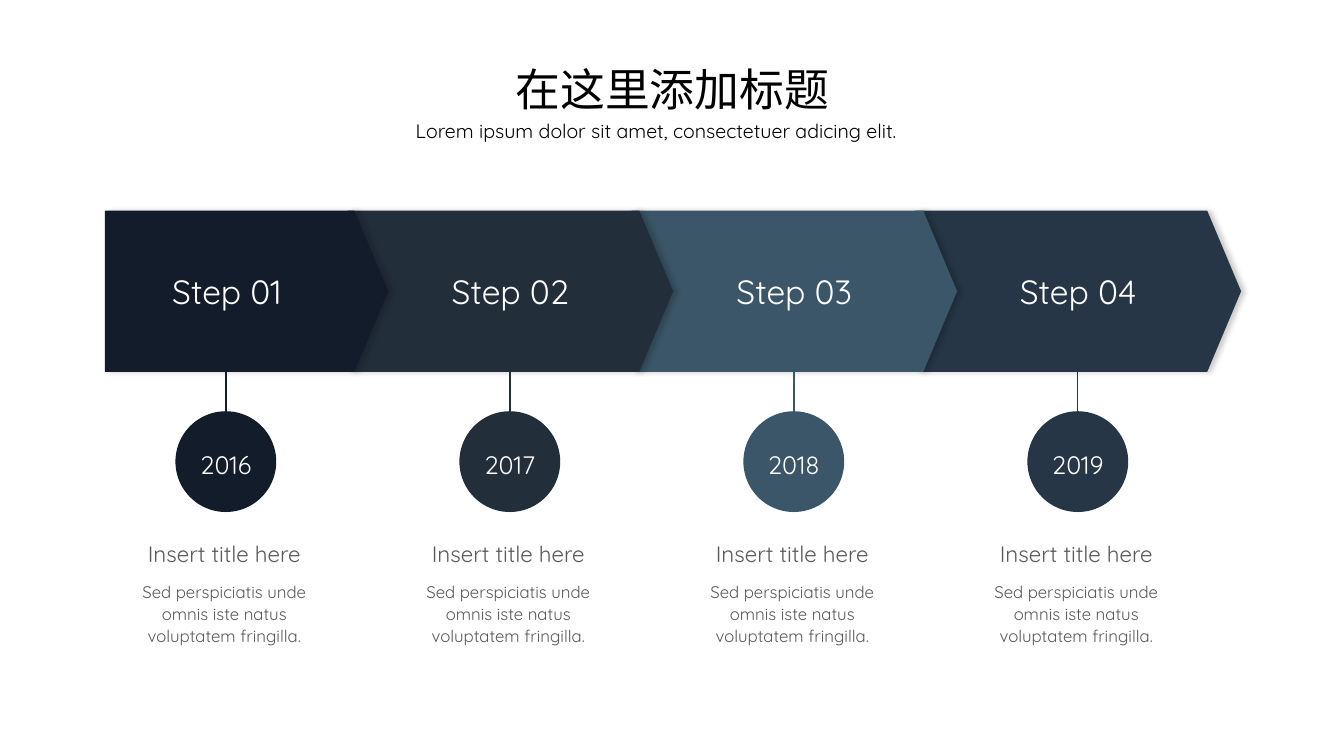
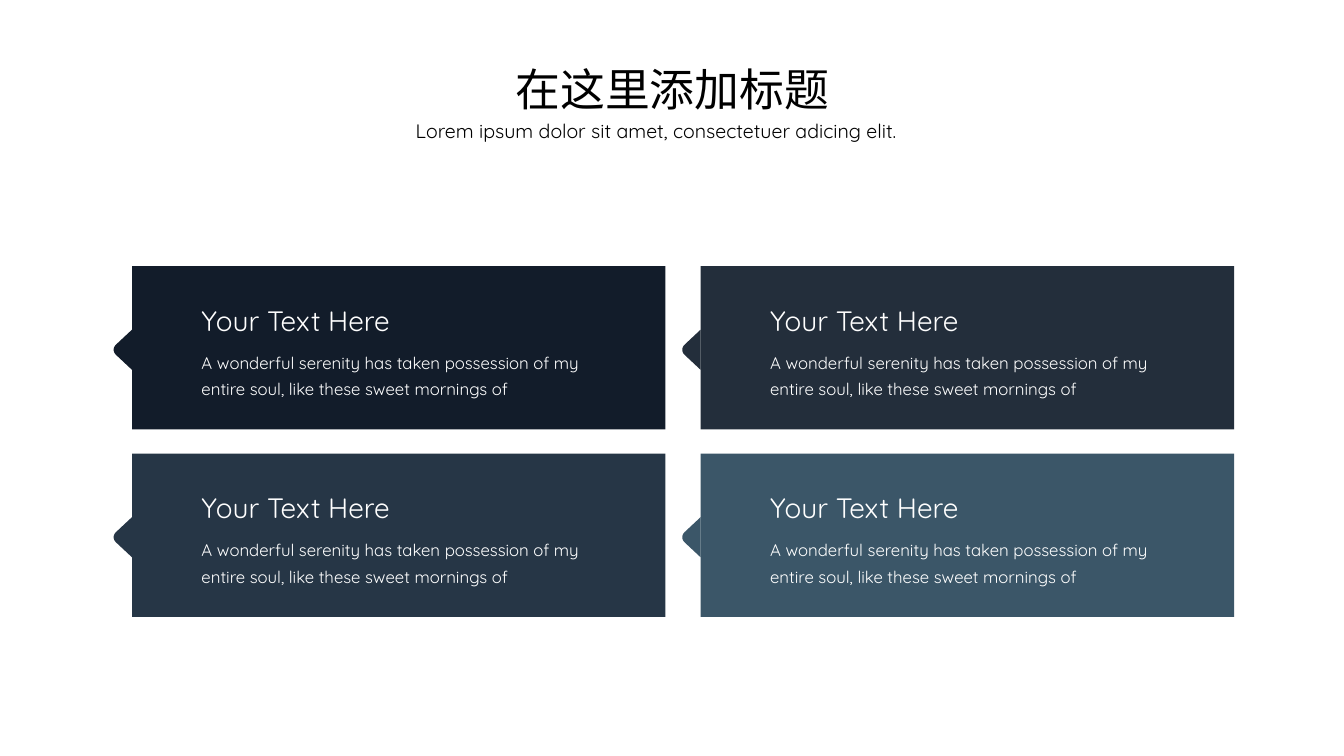
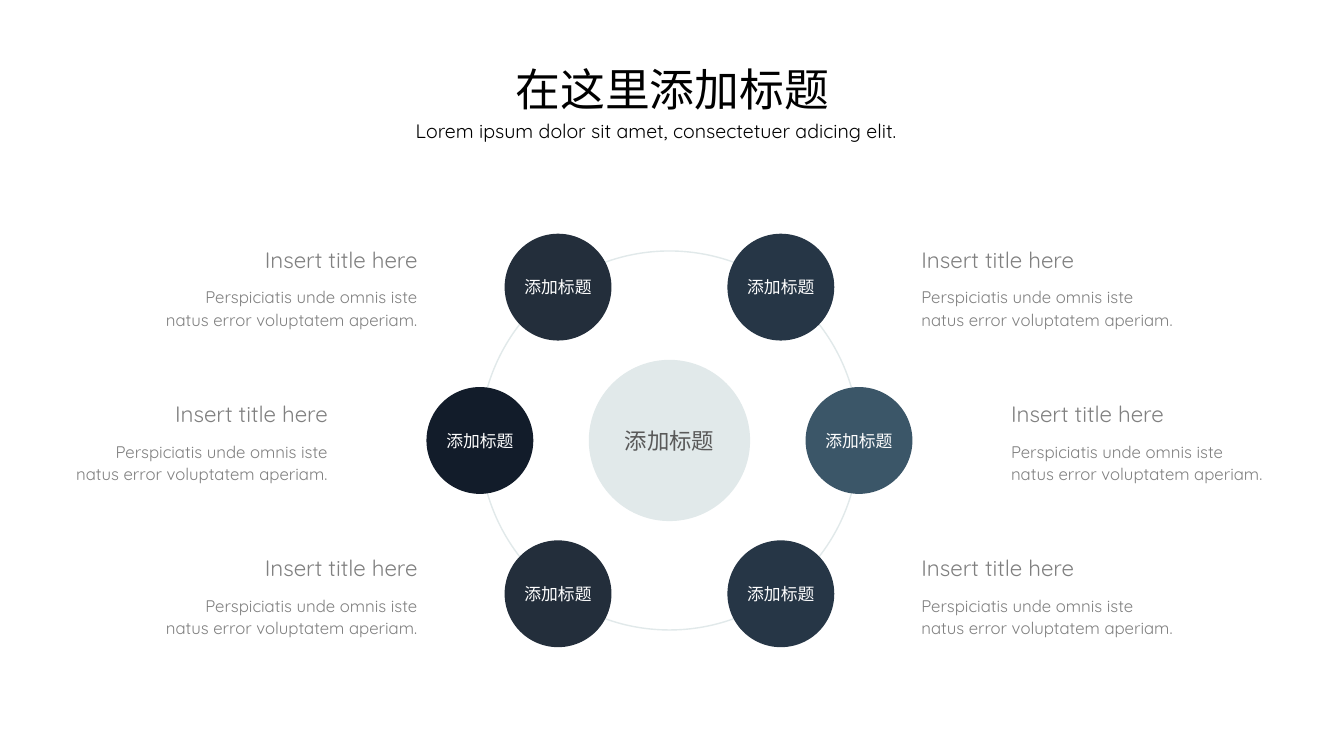
"""Build three slides: a step timeline, a grid of cards and a ring of topics."""
from math import cos, radians, sin

from lxml import etree
from pptx import Presentation
from pptx.dml.color import RGBColor
from pptx.enum.shapes import MSO_CONNECTOR, MSO_SHAPE
from pptx.enum.text import MSO_ANCHOR, MSO_AUTO_SIZE, PP_ALIGN
from pptx.oxml.ns import qn
from pptx.util import Inches, Pt

LEFT, MID, RIGHT = PP_ALIGN.LEFT, PP_ALIGN.CENTER, PP_ALIGN.RIGHT
TOP, CENTRE = MSO_ANCHOR.TOP, MSO_ANCHOR.MIDDLE
FIXED = MSO_AUTO_SIZE.NONE
OVAL, RECT = MSO_SHAPE.OVAL, MSO_SHAPE.RECTANGLE
ARROW, PLATE = MSO_SHAPE.CHEVRON, MSO_SHAPE.PENTAGON
STRAIGHT = MSO_CONNECTOR.STRAIGHT

NAVY = RGBColor(0x12, 0x1C, 0x2A)
SLATE = RGBColor(0x23, 0x2E, 0x3B)
BLUE = RGBColor(0x26, 0x36, 0x46)
TEAL = RGBColor(0x3B, 0x56, 0x68)
PALE = RGBColor(0xE1, 0xE9, 0xEA)
DARK = RGBColor(0x59, 0x59, 0x59)
GREY = RGBColor(0x80, 0x80, 0x80)
BLACK = RGBColor(0, 0, 0)
WHITE = RGBColor(255, 255, 255)

SANS, HAN = "Quicksand", "Noto Sans CJK SC"
WIDE, HIGH = 13.33, 7.5

TITLE = "在这里添加标题"
LEAD = "Lorem ipsum dolor sit amet, consectetuer adicing elit."
HEAD = "Insert title here"
TOPIC = "添加标题"

STEPS = [
    ("Step 01", "2016", NAVY),
    ("Step 02", "2017", SLATE),
    ("Step 03", "2018", TEAL),
    ("Step 04", "2019", BLUE),
]
STEP_NOTE = "Sed perspiciatis unde omnis iste natus voluptatem fringilla."

CARDS = [[NAVY, SLATE], [BLUE, TEAL]]
CARD_HEAD = "Your Text Here"
CARD_NOTE = ("A wonderful serenity has taken possession of my entire soul, "
             "like these sweet mornings of")

NODES = [
    (-1, -1, SLATE), (-1, 0, NAVY), (-1, 1, SLATE),
    (1, -1, BLUE), (1, 0, TEAL), (1, 1, BLUE),
]
NODE_NOTE = "Perspiciatis unde omnis iste natus error voluptatem aperiam."


def write(frame, text, size, color, face=SANS, align=MID, space=1, wrap=False,
          anchor=TOP):
    """Fill a text frame with one formatted run."""
    frame.auto_size = FIXED
    frame.word_wrap = wrap
    frame.vertical_anchor = anchor
    para = frame.paragraphs[0]
    para.alignment, para.line_spacing = align, space
    para.space_before = Pt(0)
    run = para.add_run()
    run.text = text
    font = run.font
    font.size, font.name, font.color.rgb = Pt(size), face, color
    if face == HAN:
        font.color
        latin = run._r.rPr.find(qn("a:latin"))
        east = etree.Element(qn("a:ea"), typeface=face)
        latin.addnext(east)


def label(slide, box, text, size, color, **style):
    """Add a text box."""
    item = slide.shapes.add_textbox(*map(Inches, box))
    write(item.text_frame, text, size, color, **style)


def paint(shape, fill):
    """Give a shape a plain fill without line or shadow."""
    shape.shadow.inherit = False
    shape.fill.solid()
    shape.fill.fore_color.rgb = fill
    shape.line.fill.background()


def block(slide, kind, box, fill):
    """Add a plain filled preset shape."""
    shape = slide.shapes.add_shape(kind, *map(Inches, box))
    paint(shape, fill)
    return shape


def disc(slide, x, y, size, fill):
    """Add a filled circle around a centre."""
    return block(slide, OVAL, (x - size / 2, y - size / 2, size, size), fill)


def shade(shape):
    """Add a soft shadow to the right of a shape."""
    effects = shape._element.spPr.find(qn("a:effectLst"))
    outer = etree.SubElement(effects, qn("a:outerShdw"), blurRad=str(Pt(4)),
                             dist=str(Pt(3)), dir="0", rotWithShape="0")
    color = etree.SubElement(outer, qn("a:srgbClr"), val="000000")
    etree.SubElement(color, qn("a:alpha"), val="20000")


def place(holder, box):
    """Move a placeholder."""
    holder.left, holder.top, holder.width, holder.height = map(Inches, box)


def start(deck):
    """Add a slide with the shared title and lead line."""
    slide = deck.slides.add_slide(deck.slide_layouts[0])
    title, lead = slide.placeholders
    place(title, (5, 0.56, 3.34, 0.64))
    write(title.text_frame, TITLE, 32, BLACK, face=HAN, anchor=CENTRE)
    place(lead, (3.87, 1.13, 5.28, 0.34))
    write(lead.text_frame, LEAD, 14, BLACK, anchor=CENTRE)
    return slide


def timeline(deck):
    """Draw the band of steps with a dated circle under each."""
    slide = start(deck)
    first, last, top, tall, ring = 2.24, 10.69, 2.09, 1.6, 4.58
    pitch = (last - first) / (len(STEPS) - 1)
    for i, (step, year, fill) in reversed(list(enumerate(STEPS))):
        x = first + i * pitch
        if i:
            band = block(slide, ARROW, (x - 1.61, top, 3.23, tall), fill)
        else:
            band = block(slide, PLATE, (1.04, top, 2.81, tall), fill)
            band.text_frame.margin_right = Inches(0.32)
        band.adjustments[0] = 0.21
        shade(band)
        write(band.text_frame, step, 24, WHITE, anchor=CENTRE)

        dot = disc(slide, x, ring, 1, fill)
        dot.text_frame.margin_top = Inches(0.11)
        write(dot.text_frame, year, 18, WHITE, anchor=CENTRE)
        stem = slide.shapes.add_connector(
            STRAIGHT, *map(Inches, (x, ring - 0.5, x, top + tall)))
        stem.begin_connect(dot, 0)
        stem.line.color.rgb, stem.line.width = fill, Pt(1)
        etree.SubElement(stem._element.spPr, qn("a:effectLst"))

        label(slide, (x - 0.9, 5.31, 1.77, 0.37), HEAD, 16, DARK)
        label(slide, (x - 1.11, 5.7, 2.19, 0.75), STEP_NOTE, 12, DARK,
              space=1.1, wrap=True)


def notch(slide, x, y, fill):
    """Add a rounded pointer to the left of a card edge."""
    curve = [(-0.16, 0.05), (-0.19, 0.02), (-0.19, -0.02), (-0.16, -0.05)]
    points = [(0, 0.2)]
    for k in range(9):
        t = k / 8
        parts = ((1 - t) ** 3, 3 * t * (1 - t) ** 2, 3 * t * t * (1 - t), t ** 3)
        points.append(tuple(sum(w * p[axis] for w, p in zip(parts, curve))
                            for axis in (0, 1)))
    path = [(Inches(x + dx), Inches(y + dy)) for dx, dy in points]
    pen = slide.shapes.build_freeform(Inches(x), Inches(y - 0.2))
    pen.add_line_segments(path, close=True)
    paint(pen.convert_to_shape(), fill)


def cards(deck):
    """Draw the grid of cards."""
    slide = start(deck)
    wide, tall = 5.29, 1.62
    for row, fills in enumerate(CARDS):
        y = 2.64 + row * (tall + 0.24)
        for col, fill in enumerate(fills):
            x = 1.31 + col * (wide + 0.35)
            block(slide, RECT, (x, y, wide, tall), fill)
            notch(slide, x, y + 0.83, fill)
            label(slide, (x + 0.59, y + 0.32, 2.13, 0.44), CARD_HEAD, 20,
                  WHITE, align=LEFT)
            label(slide, (x + 0.59, y + 0.75, 4.31, 0.6), CARD_NOTE, 12,
                  WHITE, align=LEFT, space=1.3, wrap=True)


def circle(deck):
    """Draw the ring of topics around a hub."""
    slide = start(deck)
    x, y, far = 6.64, 4.37, 1.88
    ring = slide.shapes.add_shape(
        OVAL, *map(Inches, (x - far, y - far, 2 * far, 2 * far)))
    ring.shadow.inherit = False
    ring.fill.background()
    ring.line.color.rgb, ring.line.width = PALE, Pt(1)
    hub = disc(slide, x, y, 1.6, PALE)
    write(hub.text_frame, TOPIC, 16, DARK, face=HAN, anchor=CENTRE)

    for side, row, fill in NODES:
        turn = radians(54 * row)
        node = disc(slide, x + side * far * cos(turn), y + far * sin(turn),
                    1.06, fill)
        write(node.text_frame, TOPIC, 12, WHITE, face=HAN, anchor=CENTRE)

        edge = x + side * (2.4 if row else 3.29)
        top = 3.92 + 1.53 * row
        align = LEFT if side > 0 else RIGHT
        rows = [(0, 1.77, 0.37, HEAD, 16, 1, False),
                (0.39, 2.7, 0.75, NODE_NOTE, 12, 1.1, True)]
        for drop, wide, tall, text, size, space, wrap in rows:
            left = edge if side > 0 else edge - wide
            label(slide, (left, top + drop, wide, tall), text, size, GREY,
                  align=align, space=space, wrap=wrap)


def main():
    """Build and save the deck."""
    deck = Presentation()
    deck.slide_width, deck.slide_height = Inches(WIDE), Inches(HIGH)
    for draw in (timeline, cards, circle):
        draw(deck)
    deck.save("out.pptx")


if __name__ == "__main__":
    main()
